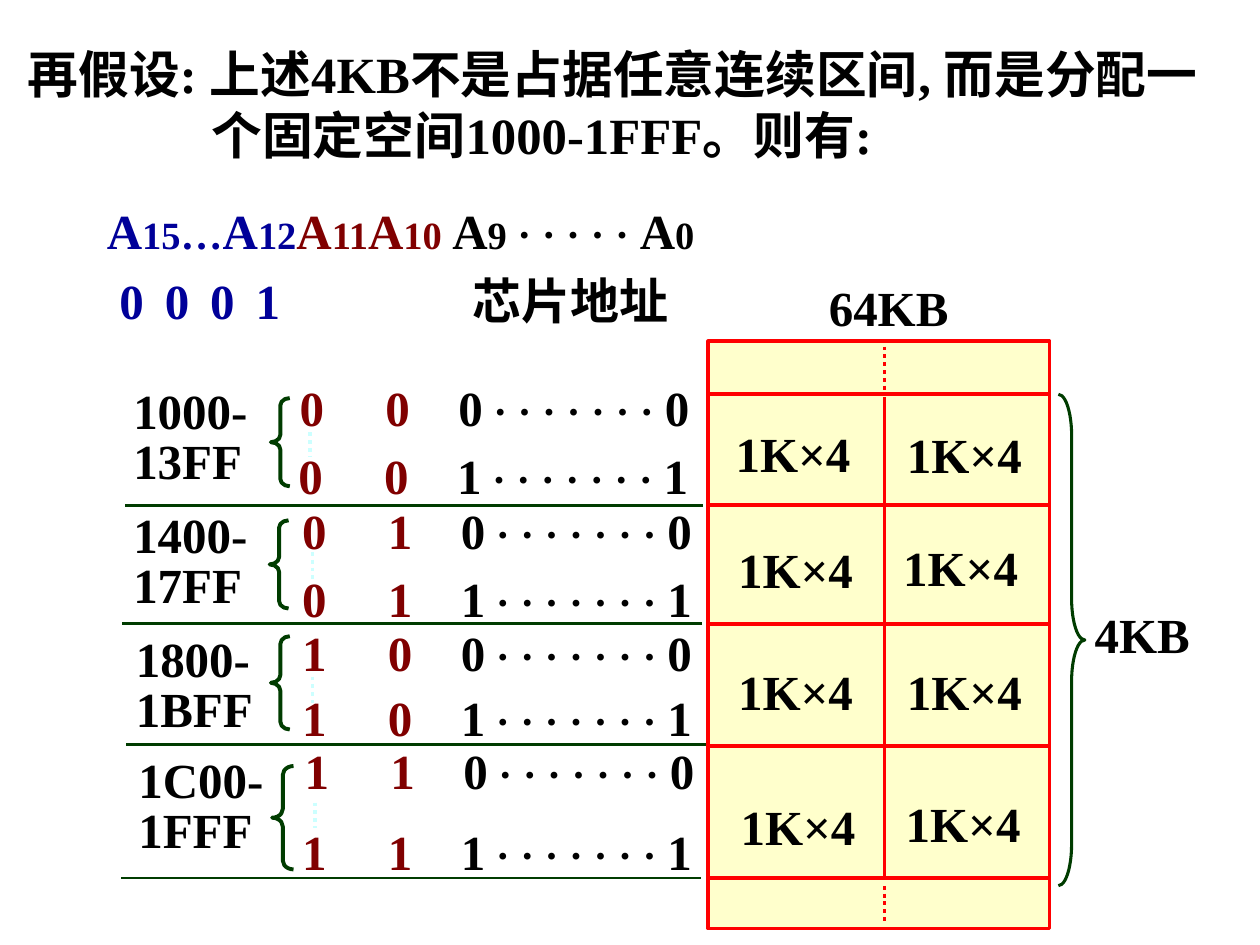
"""Build the slide that maps 4KB of memory chips into the fixed range 1000-1FFF."""
from lxml.etree import SubElement
from pptx import Presentation
from pptx.dml.color import RGBColor
from pptx.enum.dml import MSO_LINE_DASH_STYLE as Dash
from pptx.enum.shapes import MSO_CONNECTOR as Connector, MSO_SHAPE as Preset
from pptx.enum.text import MSO_AUTO_SIZE as AutoSize
from pptx.oxml.ns import qn
from pptx.util import Emu, Pt

EMU_PER_PX = 9144
COLORS = {
    "ink": "000000", "page": "000099", "select": "800000", "frame": "FF0000",
    "memory": "FFFFCC", "rule": "003C00", "range": "CCFFFF",
}
DOTS = "· · · · · · ·"


def px(length):
    return Emu(length * EMU_PER_PX)


def rgb(name):
    return RGBColor.from_string(COLORS[name])


class Board:
    """Hold the text style and the current slide."""

    font_name = "Times New Roman"
    size = 28

    def __init__(self, slide):
        self.shapes = slide.shapes

    def text(self, box, runs, spacing=None, hanging=0, tabs=()):
        frame = self.shapes.add_textbox(*map(px, box)).text_frame
        frame.word_wrap = True
        frame.auto_size = AutoSize.SHAPE_TO_FIT_TEXT
        paragraph = frame.paragraphs[0]
        if spacing:
            paragraph.line_spacing = spacing
        properties = paragraph._p.get_or_add_pPr()
        if hanging:
            properties.set("marL", str(px(hanging)))
            properties.set("indent", str(-px(hanging)))
        if tabs:
            stops = SubElement(properties, qn("a:tabLst"))
            for stop in tabs:
                SubElement(stops, qn("a:tab"), pos=str(px(stop)), algn="l")
        for words, size, color in runs:
            run = paragraph.add_run()
            run.text = words
            run.font.name = self.font_name
            run.font.size = Pt(size)
            run.font.bold = True
            run.font.color.rgb = rgb(color)

    def label(self, box, words, spacing=None):
        self.text(box, [(words, self.size, "ink")], spacing)

    def outline(self, item, color, weight):
        item.line.color.rgb = rgb(color)
        item.line.width = Pt(weight)

    def rectangle(self, box, fill, color, weight):
        area = self.shapes.add_shape(Preset.RECTANGLE, *map(px, box))
        area.shadow.inherit = False
        area.fill.solid()
        area.fill.fore_color.rgb = rgb(fill)
        self.outline(area, color, weight)

    def brace(self, preset, box, bend, weight):
        brace = self.shapes.add_shape(preset, *map(px, box))
        brace.shadow.inherit = False
        brace.fill.background()
        brace.adjustments[0] = bend
        brace.adjustments[1] = 0.5
        self.outline(brace, "rule", weight)

    def line(self, start, end, color, weight=2.25, dotted=False):
        stroke = self.shapes.add_connector(Connector.STRAIGHT, *map(px, start + end))
        SubElement(stroke._element.spPr, qn("a:effectLst"))
        self.outline(stroke, color, weight)
        if dotted:
            stroke.line.dash_style = Dash.ROUND_DOT


def draw_header(board):
    title = "再假设: 上述4KB不是占据任意连续区间, 而是分配一个固定空间1000-1FFF。则有:"
    board.text((12, 29, 988, 108), [(title, 29, "ink")], hanging=146)
    board.text((75, 154, 518, 57), [
        ("A", 28, "page"), ("15", 22, "page"), ("…", 24, "page"),
        ("A", 28, "page"), ("12", 22, "page"),
        ("A", 28, "select"), ("11", 22, "select"),
        ("A", 28, "select"), ("10", 22, "select"), (" ", 24, "select"),
        ("A", 28, "ink"), ("9", 22, "ink"), (" · · · · · ", 24, "ink"),
        ("A", 28, "ink"), ("0", 22, "ink"),
    ])
    board.text((85, 210, 180, 57), [("0\t0\t0\t1", 28, "page")], tabs=(36, 72, 108))
    board.label((365, 210, 212, 57), "芯片地址")
    board.label((648, 215, 146, 57), "64KB")


def draw_memory(board):
    left, right, middle = 562, 833, 702
    board.rectangle((left, 271, right - left, 466), "memory", "frame", 2.25)
    for y in (313, 401, 495, 592, 697):
        board.line((left, y), (right, y), "frame")
    board.line((middle, 315), (middle, 696), "frame")
    for top, bottom in ((275, 310), (703, 733)):
        board.line((middle, top), (middle, bottom), "frame", dotted=True)
    for x, y in ((574, 331), (710, 332), (576, 423), (707, 422),
                 (576, 520), (710, 520), (578, 627), (709, 625)):
        board.label((x, y, 134, 57), "1K×4")
    board.brace(Preset.RIGHT_BRACE, (840, 313, 21, 390), 1.561, 1.75)
    board.label((859, 488, 114, 43), "4KB", 0.7)


def draw_bank(board, name, name_at, select, rows, dots, brace, bend, rule):
    board.label((*name_at, 137, 90), name, 0.85)
    for (x, y), bit in zip(rows, "01"):
        board.text((x, y, 350, 57), [
            ("\t".join(select) + "\t", 28, "select"), (bit, 28, "ink"),
            (f" {DOTS} ", 24, "ink"), (bit, 28, "ink"),
        ], tabs=(68, 126))
    x, top, bottom = dots
    board.line((x, top), (x, bottom), "range", dotted=True)
    board.brace(Preset.LEFT_BRACE, brace, bend, 2.25)
    start, end, y = rule
    board.line((end, y), (start, y), "rule", 1.5)


def main():
    deck = Presentation()
    deck.slide_width, deck.slide_height = px(1000), px(750)
    board = Board(deck.slides.add_slide(deck.slide_layouts[6]))
    draw_header(board)
    draw_memory(board)
    banks = (
        ("1000- 13FF", (96, 304), "00", ((228, 295), (227, 349)),
         (246, 343, 363), (215, 316, 15, 70), 0.387, (99, 558, 401)),
        ("1400- 17FF", (96, 403), "01", ((230, 392), (230, 446)),
         (248, 438, 461), (214, 413, 15, 70), 0.389, (97, 557, 495)),
        ("1800- 1BFF", (98, 501), "10", ((230, 489), (230, 541)),
         (248, 537, 558), (215, 505, 15, 74), 0.411, (100, 560, 591)),
        ("1C00- 1FFF", (100, 597), "11", ((232, 583), (230, 647)),
         (250, 637, 657), (216, 608, 17, 82), 0.409, (96, 556, 697)),
    )
    for bank in banks:
        draw_bank(board, *bank)
    deck.save("out.pptx")


if __name__ == "__main__":
    main()
